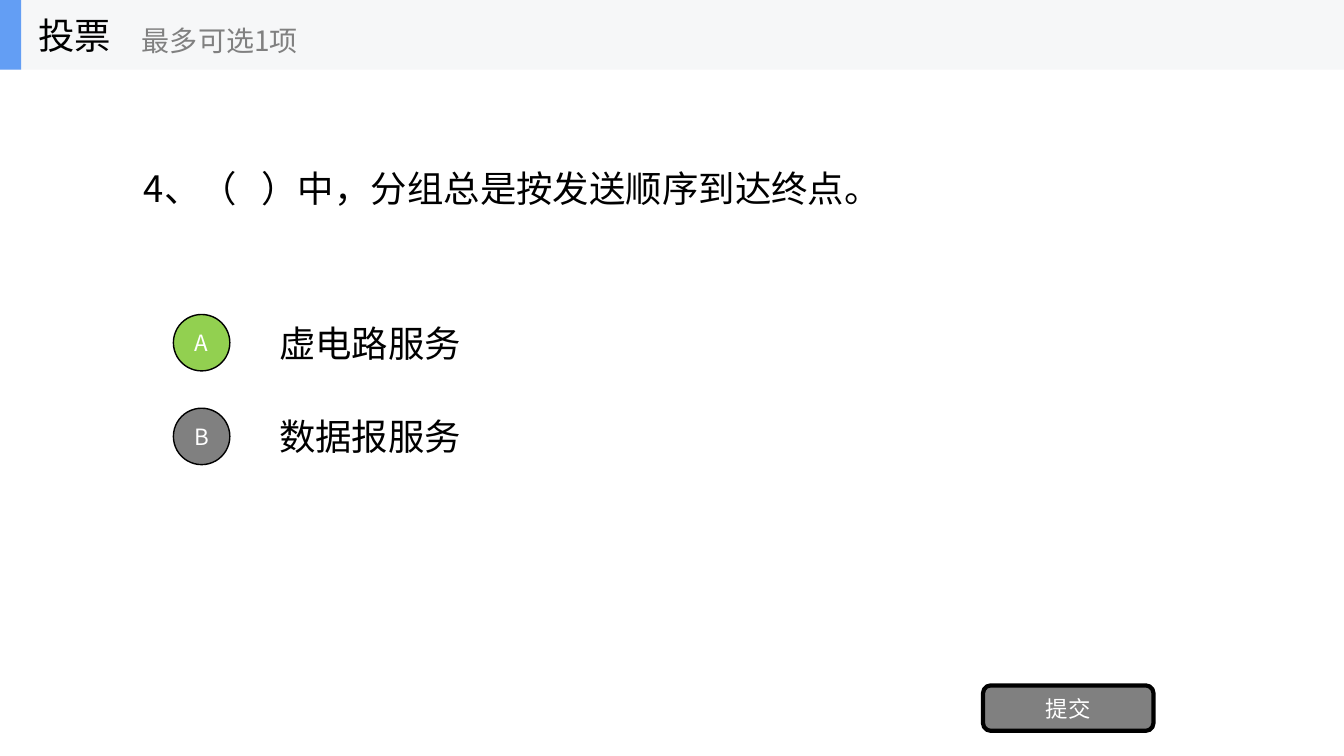
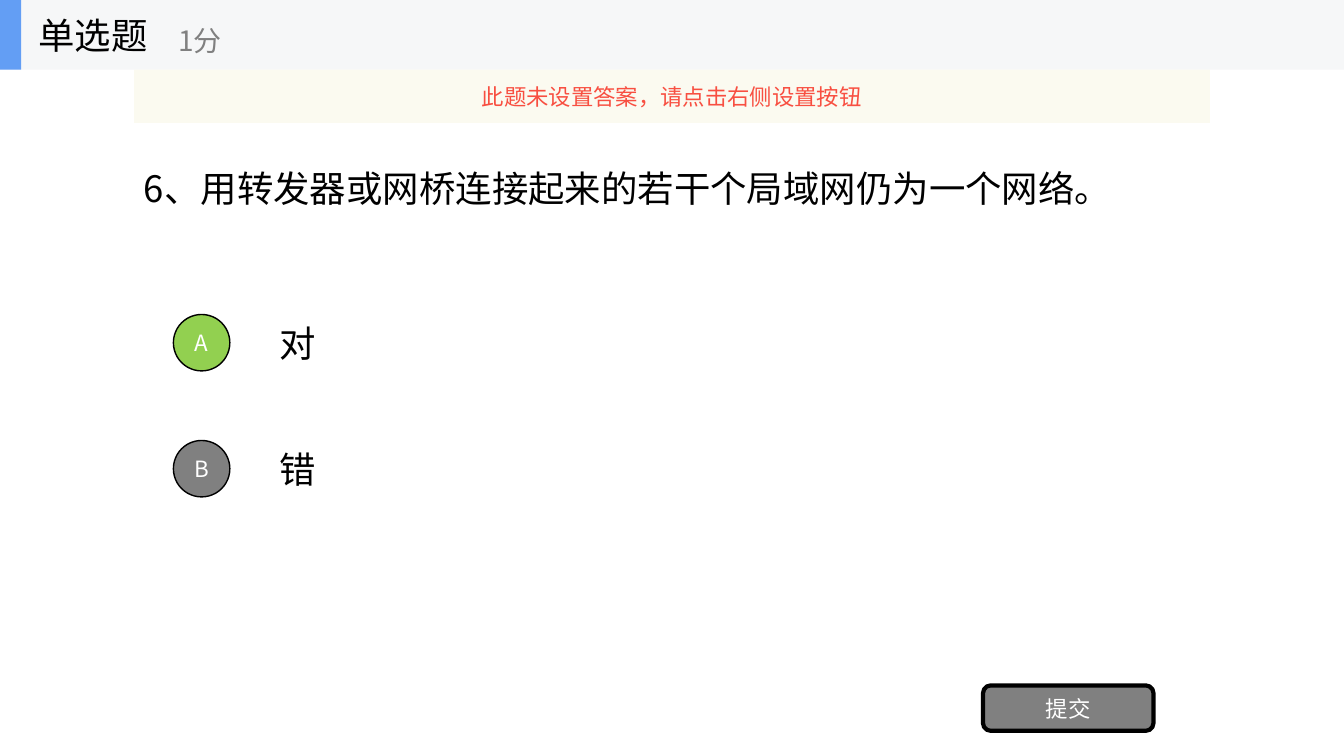
from lxml import etree
from pptx import Presentation
from pptx.dml.color import RGBColor
from pptx.enum.shapes import MSO_SHAPE
from pptx.enum.text import MSO_ANCHOR, MSO_AUTO_SIZE, PP_ALIGN
from pptx.oxml.ns import qn
from pptx.util import Emu, Pt

RECT, OVAL, ROUNDED = MSO_SHAPE.RECTANGLE, MSO_SHAPE.OVAL, MSO_SHAPE.ROUNDED_RECTANGLE
LEFT, CENTER = PP_ALIGN.LEFT, PP_ALIGN.CENTER
MIDDLE = MSO_ANCHOR.MIDDLE
NO_AUTOFIT = MSO_AUTO_SIZE.NONE

PX = 9144
WIDTH, HEIGHT = 1333, 750
HEADER_H = 69
BODY_X, BODY_W = 133, 1067
OPTION_X, OPTION_Y, OPTION_H = 267, 305, 70
BADGE_X, BADGE_SIZE = 172, 56
FONT = "Noto Sans CJK SC"
COLORS = {
    "text": "000000",
    "white": "FFFFFF",
    "gray": "808080",
    "chosen": "92D050",
    "band": "F6F7F8",
    "accent": "639EF4",
    "notice": "FBFAEF",
    "warning": "F84F41",
}


def px(*lengths):
    return [Emu(n * PX) for n in lengths]


def rgb(name):
    return RGBColor.from_string(COLORS[name])


class QuizDeck:
    """Holds the quiz style and the slide being drawn."""

    def __init__(self):
        self.prs = Presentation()
        self.prs.slide_width, self.prs.slide_height = px(WIDTH, HEIGHT)
        self.slide = None

    def add_run(self, sp, text, size, color, align=LEFT):
        tf = sp.text_frame
        tf.word_wrap = True
        tf.auto_size = NO_AUTOFIT
        tf.vertical_anchor = MIDDLE
        p = tf.paragraphs[0]
        p.alignment = align
        r = p.add_run()
        r.text = text
        r.font.size = Pt(size)
        r.font.name = FONT
        r.font.color.rgb = rgb(color)
        etree.SubElement(r.font._element, qn("a:ea"), typeface=FONT)

    def text(self, box, text, size=26, color="text"):
        self.add_run(self.slide.shapes.add_textbox(*px(*box)), text, size, color)

    def shape(self, kind, box, fill, line_width=0, opacity=100):
        sp = self.slide.shapes.add_shape(kind, *px(*box))
        sp.shadow.inherit = False
        sp.fill.solid()
        sp.fill.fore_color.rgb = rgb(fill)
        if opacity < 100:
            clr = sp._element.spPr.find(qn("a:solidFill"))[0]
            etree.SubElement(clr, qn("a:alpha"), val=str(opacity * 1000))
        if line_width:
            sp.line.color.rgb = rgb("text")
            sp.line.width = Pt(line_width)
        else:
            sp.line.fill.background()
        return sp

    def label(self, kind, box, fill, line_width, text):
        sp = self.shape(kind, box, fill, line_width)
        tf = sp.text_frame
        tf.margin_left = tf.margin_right = tf.margin_top = tf.margin_bottom = 0
        self.add_run(sp, text, 16, "white", CENTER)

    def header(self, title, hint, hint_x):
        self.shape(RECT, (0, 0, WIDTH, HEADER_H), "band")
        self.shape(RECT, (0, 0, 21, HEADER_H), "accent")
        sp = self.slide.shapes.title
        sp.left, sp.top, sp.width, sp.height = px(28, 0, 208, HEADER_H)
        self.add_run(sp, title, 26, "text")
        self.slide.shapes._spTree.append(sp._element)
        self.text((hint_x, 12, 250, 56), hint, 20, "gray")

    def options(self, answers, step):
        inset = (OPTION_H - BADGE_SIZE) // 2
        for i, (letter, answer) in enumerate(zip("AB", answers)):
            y = OPTION_Y + i * step
            self.text((OPTION_X, y, 933, OPTION_H), answer)
            self.label(OVAL, (BADGE_X, y + inset, BADGE_SIZE, BADGE_SIZE),
                       "gray" if i else "chosen", 1, letter)

    def notice(self, text):
        sp = self.shape(RECT, (BODY_X, HEADER_H, BODY_W, 53), "notice", opacity=90)
        self.add_run(sp, text, 16, "warning", CENTER)

    def question(self, title, hint, hint_x, question, answers, step):
        self.slide = self.prs.slides.add_slide(self.prs.slide_layouts[5])
        self.header(title, hint, hint_x)
        self.text((BODY_X, HEADER_H, BODY_W, 234), question)
        self.options(answers, step)
        self.label(ROUNDED, (975, 680, 169, 45), "gray", 3, "提交")


def main():
    deck = QuizDeck()
    deck.question("投票", "最多可选1项", 131,
                  "4、（   ）中，分组总是按发送顺序到达终点。",
                  ("虚电路服务", "数据报服务"), 93)
    deck.question("单选题", "1分", 167,
                  "6、用转发器或网桥连接起来的若干个局域网仍为一个网络。",
                  ("对", "错"), 125)
    deck.notice("此题未设置答案，请点击右侧设置按钮")
    deck.prs.save("out.pptx")


if __name__ == "__main__":
    main()
